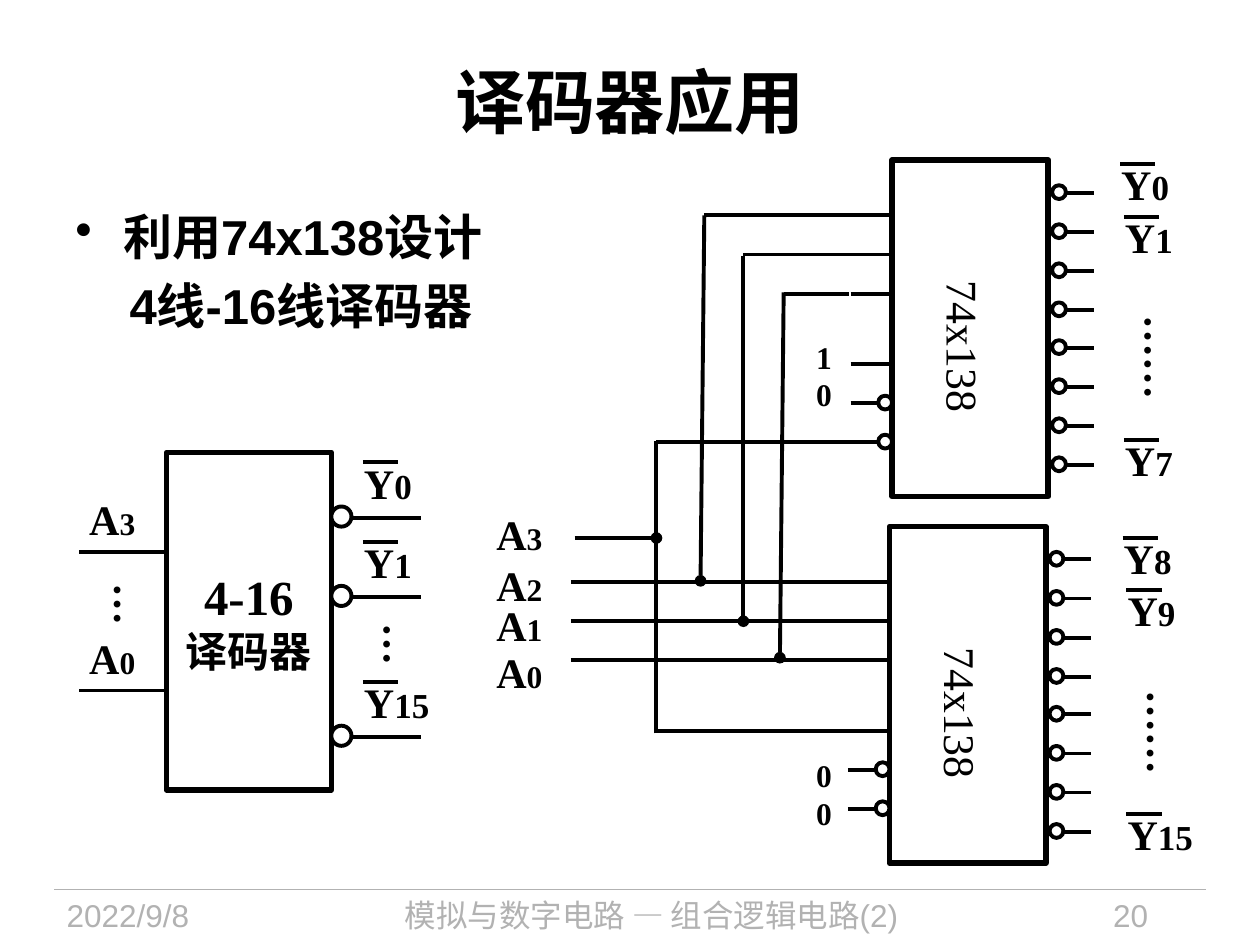
from lxml import etree
from pptx import Presentation
from pptx import util as u
from pptx.dml.color import RGBColor
from pptx.enum import shapes, text
from pptx.oxml import ns

PX = 9144
COLORS = {"ink": "000000", "paper": "FFFFFF", "footer": "B2B2B2"}
SANS, SERIF = "Arial", "Times New Roman"
LEFT, CENTER, RIGHT = text.PP_ALIGN.LEFT, text.PP_ALIGN.CENTER, text.PP_ALIGN.RIGHT
CHIP_PITCH = 291


def px(*lengths):
    return [u.Emu(length * PX) for length in lengths]


def color(name):
    return RGBColor.from_string(COLORS[name])


def add_span(para, words, size, font=SERIF, bold=True, ink="ink"):
    span = para.add_run()
    span.text = words
    span.font.size = u.Pt(size)
    span.font.name = font
    span.font.bold = bold
    span.font.color.rgb = color(ink)


def add_box(page, area, align=LEFT, wrap=False):
    box = page.shapes.add_textbox(*px(*area))
    frame = box.text_frame
    frame.word_wrap = wrap
    if not wrap:
        frame.auto_size = text.MSO_AUTO_SIZE.SHAPE_TO_FIT_TEXT
    frame.paragraphs[0].alignment = align
    return frame


def add_vertical(page, area, words, size, bold=True, inset=True):
    frame = add_box(page, area)
    if not inset:
        frame.margin_left = frame.margin_right = 0
        frame.margin_top = frame.margin_bottom = 0
    page.shapes[-1].element.txBody.bodyPr.set("vert", "eaVert")
    add_span(frame.paragraphs[0], words, size, bold=bold)


def add_wire(page, start, end, dot=None, ink="ink", width=2.25):
    wire = page.shapes.add_connector(
        shapes.MSO_CONNECTOR.STRAIGHT, *px(*start, *end))
    wire.line.color.rgb = color(ink)
    wire.line.width = u.Pt(width)
    properties = wire.element.spPr
    if dot:
        outline = properties.find(ns.qn("a:ln"))
        etree.SubElement(outline, ns.qn(f"a:{dot}End"), type="oval")
    etree.SubElement(properties, ns.qn("a:effectLst"))


def add_outline(page, kind, area, width):
    shape = page.shapes.add_shape(kind, *px(*area))
    shape.shadow.inherit = False
    shape.fill.solid()
    shape.fill.fore_color.rgb = color("paper")
    shape.line.color.rgb = color("ink")
    shape.line.width = u.Pt(width)
    return shape


def add_bubble(page, left, middle, size=11):
    area = (left, middle - size / 2, size, size)
    add_outline(page, shapes.MSO_SHAPE.OVAL, [int(n) for n in area], 2.25)


def add_signal(page, left, top, letter, index, size):
    width = 58 if len(index) == 1 else 72
    para = add_box(page, (left, top, width, 50)).paragraphs[0]
    add_span(para, letter, 24)
    add_span(para, index, size)


def add_input(page, left, top, index):
    add_signal(page, left, top, "A", index, 18)


def add_output(page, left, top, index):
    add_signal(page, left, top, "Y", index, 20)
    add_wire(page, (left + 9, top + 9), (left + 37, top + 9))


def add_levels(page, top, levels):
    frame = add_box(page, (638, top, 33, 71))
    add_span(frame.paragraphs[0], levels[0], 18)
    add_span(frame.add_paragraph(), levels[1], 18)


def add_chip(page, dx, dy):
    add_outline(page, shapes.MSO_SHAPE.RECTANGLE,
                (708 + dx, 127 + dy, 124, 267), 3.25)
    add_vertical(page, (756 + dx, 223 + dy, 30, 104), "74x138", 25, False, False)
    for index in range(8):
        y = dy + 153 + round(index * 30.86)
        add_bubble(page, 835 + dx, y)
        add_wire(page, (846 + dx, y), (868 + dx, y))
    for y in (171, 202, 233, 289):
        add_wire(page, (675 + dx, y + dy), (709 + dx, y + dy))
    for y in (320, 351):
        add_bubble(page, 697 + dx, y + dy)
        add_wire(page, (675 + dx, y + dy), (697 + dx, y + dy))


def add_heading(page):
    frame = add_box(page, (50, 17, 900, 125), CENTER, True)
    frame.vertical_anchor = text.MSO_ANCHOR.MIDDLE
    add_span(frame.paragraphs[0], "译码器应用", 40, SANS)

    frame = add_box(page, (50, 159, 900, 71), LEFT, True)
    first, second = frame.paragraphs[0], frame.add_paragraph()
    for para, words, margin, indent in (
            (first, "利用74x138设计", 38, -38),
            (second, "4线-16线译码器", 43, 0)):
        properties = para._p.get_or_add_pPr()
        properties.set("marL", str(margin * PX))
        properties.set("indent", str(indent * PX))
        if indent:
            etree.SubElement(properties, ns.qn("a:buChar"), char="•")
        para.space_after = u.Pt(5.6)
        add_span(para, words, 28, SANS)


def add_footer(page):
    add_wire(page, (43, 706), (957, 706), ink="footer", width=0.75)
    for left, width, align, words in (
            (43, 188, LEFT, "2022/9/8"),
            (249, 536, CENTER, "模拟与数字电路 — 组合逻辑电路(2)"),
            (788, 133, RIGHT, "20")):
        frame = add_box(page, (left, 706, width, 44), align, True)
        add_span(frame.paragraphs[0], words, 18, SANS, False, "footer")


def add_decoder(page):
    body = add_outline(page, shapes.MSO_SHAPE.RECTANGLE, (132, 359, 131, 268), 3)
    frame = body.text_frame
    frame.word_wrap = False
    frame.vertical_anchor = text.MSO_ANCHOR.MIDDLE
    first, second = frame.paragraphs[0], frame.add_paragraph()
    first.alignment = second.alignment = CENTER
    add_span(first, "4-16", 28)
    add_span(second, "译码器", 24, SANS)

    for y, index in ((438, "3"), (548, "0")):
        add_wire(page, (63, y), (130, y))
        add_input(page, 61, y - 51, index)
    for y, index in ((411, "0"), (474, "1"), (585, "15")):
        add_wire(page, (263, y), (334, y))
        add_bubble(page, 263, y - 1, 16)
        add_output(page, 279, y - 53, index)
    for left, top in ((69, 453), (283, 485)):
        add_vertical(page, (left, top, 60, 43), "…", 24)


def add_expansion(page):
    for dx, dy in ((0, 0), (-2, CHIP_PITCH)):
        add_chip(page, dx, dy)

    for top, index in ((399, "3"), (439, "2"), (471, "1"), (508, "0")):
        add_input(page, 384, top, index)
    for y in (462, 493, 524):
        add_wire(page, (453, y), (676, y))
    add_wire(page, (456, 427), (521, 427), "tail")
    for bottom, top, end in (((619, 522), (622, 232), (674, 233)),
                             ((590, 493), (590, 203), (676, 202)),
                             ((556, 461), (559, 171), (676, 171))):
        add_wire(page, bottom, top, "head")
        add_wire(page, (top[0], end[1]), end)
    add_wire(page, (521, 582), (521, 350))
    for y in (351, 580):
        add_wire(page, (521, y), (675, y))

    add_levels(page, 263, "10")
    add_levels(page, 595, "00")
    for left, top, index in ((880, 121, "0"), (883, 163, "1"), (883, 340, "7"),
                             (882, 418, "8"), (885, 459, "9"), (885, 637, "15")):
        add_output(page, left, top, index)
    for left, top in ((886, 241), (888, 538)):
        add_vertical(page, (left, top, 61, 77), "……", 24)


def main():
    deck = Presentation()
    deck.slide_width, deck.slide_height = px(1000, 750)
    page = deck.slides.add_slide(deck.slide_layouts[6])
    add_footer(page)
    add_heading(page)
    add_decoder(page)
    add_expansion(page)
    deck.save("out.pptx")


if __name__ == "__main__":
    main()
